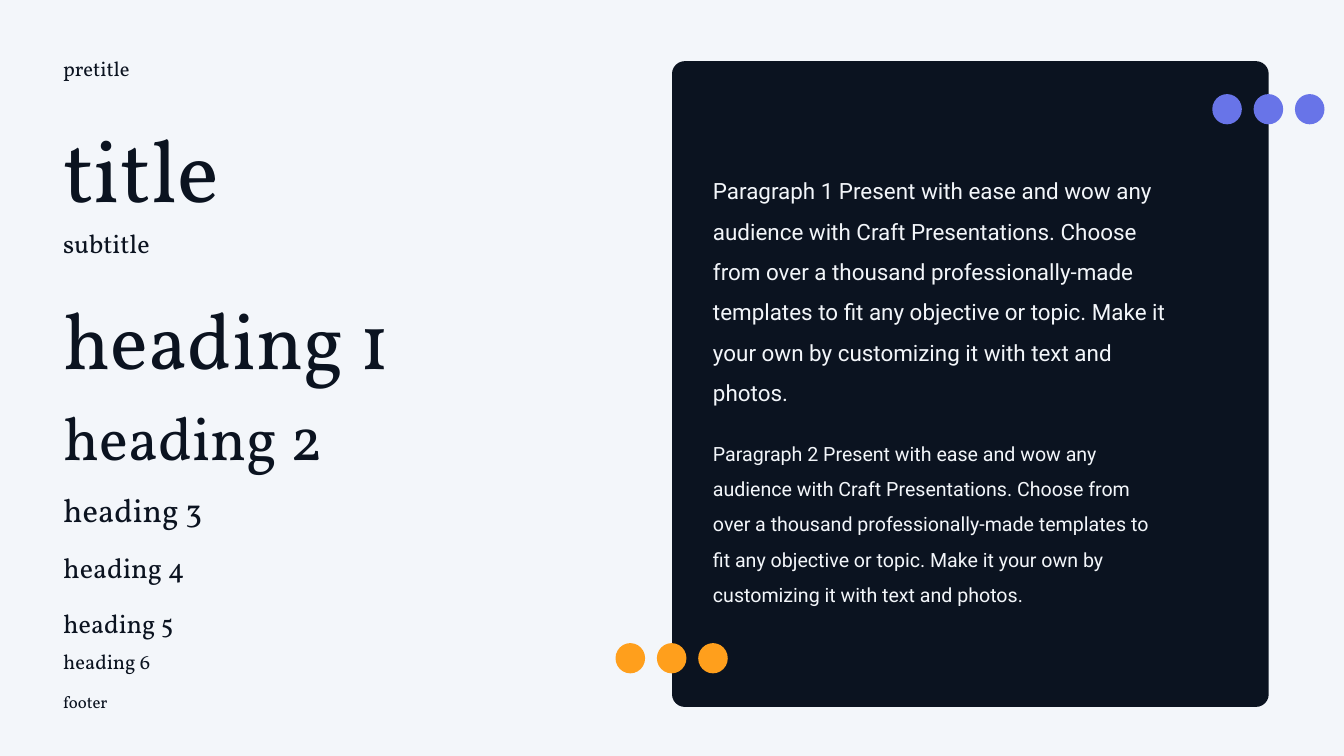
from pptx import Presentation
from pptx.dml.color import RGBColor
from pptx.enum import shapes, text
from pptx.util import Inches, Pt

COLORS = {"paper": "F3F6FA", "ink": "0B1320", "violet": "6874E8", "orange": "FF9F1C"}

SAMPLE = (
    "Present with ease and wow any audience with Craft Presentations. "
    "Choose from over a thousand professionally-made templates to fit any "
    "objective or topic. Make it your own by customizing it with text and photos."
)


def add_filled(kind, left, top, width, height, color):
    shape = slide.shapes.add_shape(
        kind, Inches(left), Inches(top), Inches(width), Inches(height)
    )
    shape.shadow.inherit = False
    shape.fill.solid()
    shape.fill.fore_color.rgb = RGBColor.from_string(COLORS[color])
    shape.line.fill.background()
    return shape


def set_text(box, wording, place, size, spacing, font, color):
    """Place a text box or placeholder and fill it with one paragraph."""
    box.left, box.top, box.width, box.height = (Inches(n) for n in place)
    frame = box.text_frame
    frame.margin_left = frame.margin_right = 0
    frame.margin_top = frame.margin_bottom = 0
    frame.word_wrap = True
    frame.auto_size = text.MSO_AUTO_SIZE.SHAPE_TO_FIT_TEXT
    frame.vertical_anchor = text.MSO_ANCHOR.TOP
    frame.text = wording
    paragraph = frame.paragraphs[0]
    paragraph.alignment = text.PP_ALIGN.LEFT
    paragraph.line_spacing = spacing
    paragraph.font.name = font
    paragraph.font.size = Pt(size)
    paragraph.font.color.rgb = RGBColor.from_string(COLORS[color])


prs = Presentation()
prs.slide_width = Inches(20)
prs.slide_height = Inches(11.25)
slide = prs.slides.add_slide(prs.slide_layouts[5])
slide.background.fill.solid()
slide.background.fill.fore_color.rgb = RGBColor.from_string(COLORS["paper"])

# Dark panel with the two body samples
panel = add_filled(
    shapes.MSO_SHAPE.ROUNDED_RECTANGLE, 10, 0.91, 8.88, 9.61, "ink"
)
panel.adjustments[0] = 0.19 / 8.88

for number, top, height, size in [(1, 2.44, 2.99, 24), (2, 6.4, 2.17, 21)]:
    set_text(
        slide.shapes.add_textbox(0, 0, 0, 0),
        f"Paragraph {number} {SAMPLE}",
        (10.61, top, 6.81, height), size, 1.5, "Roboto", "paper",
    )

# Type scale: wording, top, height, size, line spacing
type_scale = [
    ("pretitle", 0.69, 0.41, 22, 1.4),
    ("title", 1.4, 1.56, 94, 1.2),
    ("subtitle", 3.2, 0.52, 28, 1.4),
    ("heading 1", 4.03, 1.41, 85, 1.2),
    ("heading 2", 5.74, 1.08, 65, 1.2),
    ("heading 3", 7.06, 0.66, 35, 1.4),
    ("heading 4", 8.04, 0.53, 30, 1.3),
    ("heading 5", 8.9, 0.48, 28, 1.3),
    ("heading 6", 9.55, 0.39, 22, 1.3),
    ("footer", 10.2, 0.32, 18, 1.3),
]
for wording, top, height, size, spacing in type_scale:
    if wording == "title":
        box = slide.shapes.title
    else:
        box = slide.shapes.add_textbox(0, 0, 0, 0)
    set_text(
        box, wording, (0.94, top, 7.56, height), size, spacing, "Vollkorn", "ink"
    )

# Rows of three dots across the panel's edges
DOT_STEP = 0.615
for left, top, color in [(18.04, 1.4, "violet"), (9.16, 9.57, "orange")]:
    for i in range(3):
        add_filled(
            shapes.MSO_SHAPE.OVAL, left + i * DOT_STEP, top, 0.44, 0.45, color
        )

prs.save("out.pptx")
